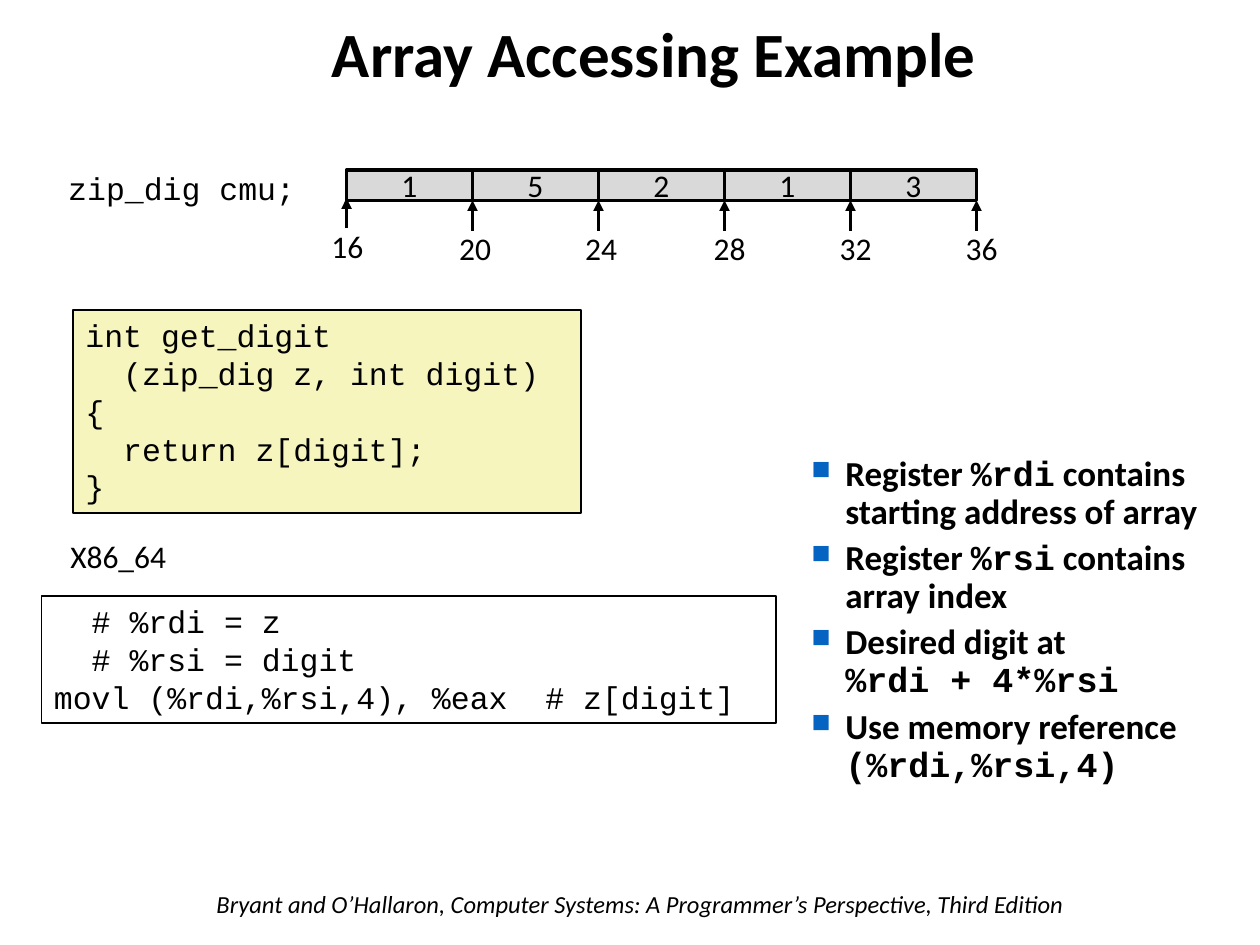
from lxml.etree import SubElement
from pptx import Presentation
from pptx.dml.color import RGBColor
from pptx.enum.shapes import MSO_CONNECTOR, MSO_SHAPE
from pptx.enum.text import MSO_ANCHOR, PP_ALIGN
from pptx.oxml.ns import qn
from pptx.util import Pt

COLORS = {"ink": "000000", "code": "F6F5BD", "cell": "D9D9D9", "bullet": "0563C1"}
SANS, MONO = "Calibri", "Courier New"

TITLE = "Array Accessing Example"
CREDIT = "Bryant and O’Hallaron, Computer Systems: A Programmer’s Perspective, Third Edition"
DIGITS = [1, 5, 2, 1, 3]
FIRST_ADDRESS, INT_SIZE = 16, 4
C_CODE = """int get_digit
  (zip_dig z, int digit)
{
  return z[digit];
}"""
ASSEMBLY = """  # %rdi = z
  # %rsi = digit
movl (%rdi,%rsi,4), %eax  # z[digit]"""
NOTES = [
    [("Register ", SANS), ("%rdi", MONO), (" contains starting address of array", SANS)],
    [("Register ", SANS), ("%rsi", MONO), (" contains \narray index", SANS)],
    [("Desired digit at \n", SANS), ("%rdi + 4*%rsi", MONO)],
    [("Use memory reference ", SANS), ("(%rdi,%rsi,4)", MONO)],
]

ARRAY_LEFT, ARRAY_TOP, CELL_WIDTH, CELL_HEIGHT = 198, 97.2, 72, 17.28
ARROW_LENGTH = 17.28
LABEL_WIDTH, LABEL_HEIGHT = 77.76, 28.8


def color(name):
    return RGBColor.from_string(COLORS[name])


def style(span, font=SANS, size=18, bold=False, italic=False):
    span.font.name = font
    span.font.size = Pt(size)
    span.font.bold = bold
    span.font.italic = italic
    span.font.color.rgb = color("ink")


def write(shape, text, align=PP_ALIGN.LEFT, anchor=MSO_ANCHOR.TOP, wrap=True, spacing=None, **look):
    frame = shape.text_frame
    frame.text = text
    frame.word_wrap = wrap
    frame.vertical_anchor = anchor
    for para in frame.paragraphs:
        para.alignment = align
        if spacing:
            para.line_spacing = spacing
        for span in para.runs:
            style(span, **look)


def add_text(page, place, text, **options):
    box = page.shapes.add_textbox(*map(Pt, place))
    write(box, text, **options)


def add_box(page, place, text, fill=None, line=1, **options):
    box = page.shapes.add_shape(MSO_SHAPE.RECTANGLE, *map(Pt, place))
    box.shadow.inherit = False
    if fill:
        box.fill.solid()
        box.fill.fore_color.rgb = color(fill)
    else:
        box.fill.background()
    box.line.color.rgb = color("ink")
    box.line.width = Pt(line)
    write(box, text, **options)


def add_arrow(page, x, bottom, top):
    arrow = page.shapes.add_connector(MSO_CONNECTOR.STRAIGHT, Pt(x), Pt(bottom), Pt(x), Pt(top))
    arrow.line.color.rgb = color("ink")
    arrow.line.width = Pt(2)
    SubElement(arrow.line._get_or_add_ln(), qn("a:tailEnd"), type="triangle")
    SubElement(arrow._element.spPr, qn("a:effectLst"))


def add_bullet(para):
    props = para._p.get_or_add_pPr()
    props.set("marL", str(Pt(31.68)))
    props.set("indent", str(Pt(-19.44)))
    bullet_color = SubElement(props, qn("a:buClr"))
    SubElement(bullet_color, qn("a:srgbClr"), val=COLORS["bullet"])
    SubElement(props, qn("a:buSzPct"), val="75000")
    SubElement(props, qn("a:buChar"), char="■")


def add_notes(page, place):
    frame = page.shapes.add_textbox(*map(Pt, place)).text_frame
    frame.word_wrap = True
    for number, note in enumerate(NOTES):
        para = frame.add_paragraph() if number else frame.paragraphs[0]
        para.line_spacing = 0.9
        para.space_before = Pt(5 if number else 0)
        add_bullet(para)
        for text, font in note:
            for row, part in enumerate(text.split("\n")):
                if row:
                    para.add_line_break()
                if part:
                    span = para.add_run()
                    span.text = part
                    style(span, font, 20, bold=True)


def add_array(page):
    for index, digit in enumerate(DIGITS):
        place = (ARRAY_LEFT + index * CELL_WIDTH, ARRAY_TOP, CELL_WIDTH, CELL_HEIGHT)
        add_box(page, place, str(digit), "cell", 2, align=PP_ALIGN.CENTER,
                anchor=MSO_ANCHOR.MIDDLE, wrap=False)
    for index in range(len(DIGITS) + 1):
        x = ARRAY_LEFT + index * CELL_WIDTH
        rise = 0 if index else 1.2
        shift = 0.5 if index == 0 else 1.5 if index < 3 else 2.9
        tip = ARRAY_TOP + CELL_HEIGHT - rise
        add_arrow(page, x, tip + ARROW_LENGTH, tip)
        place = (x + shift - LABEL_WIDTH / 2, 127.44 - rise, LABEL_WIDTH, LABEL_HEIGHT)
        add_text(page, place, str(FIRST_ADDRESS + index * INT_SIZE), align=PP_ALIGN.CENTER)


def main():
    deck = Presentation()
    deck.slide_width, deck.slide_height = Pt(720), Pt(540)
    page = deck.slides.add_slide(deck.slide_layouts[6])
    add_text(page, (116.64, 504.72, 511.2, 24.48), CREDIT, size=14, italic=True)
    add_text(page, (63.36, 0.72, 620.64, 64.08), TITLE, align=PP_ALIGN.CENTER,
             anchor=MSO_ANCHOR.MIDDLE, spacing=0.9, size=36, bold=True)
    add_notes(page, (444.24, 257.04, 270, 234.72))
    add_box(page, (41.76, 177.12, 290.16, 115.92), C_CODE, "code", font=MONO)
    add_box(page, (23.76, 340.56, 419.76, 72.72), ASSEMBLY, font=MONO)
    add_text(page, (33.12, 303.12, 69.84, 28.8), "X86_64", wrap=False)
    add_text(page, (23.76, 92.88, 151.92, 28.8), "zip_dig cmu;", align=PP_ALIGN.RIGHT, font=MONO)
    add_array(page)
    deck.save("out.pptx")


if __name__ == "__main__":
    main()
